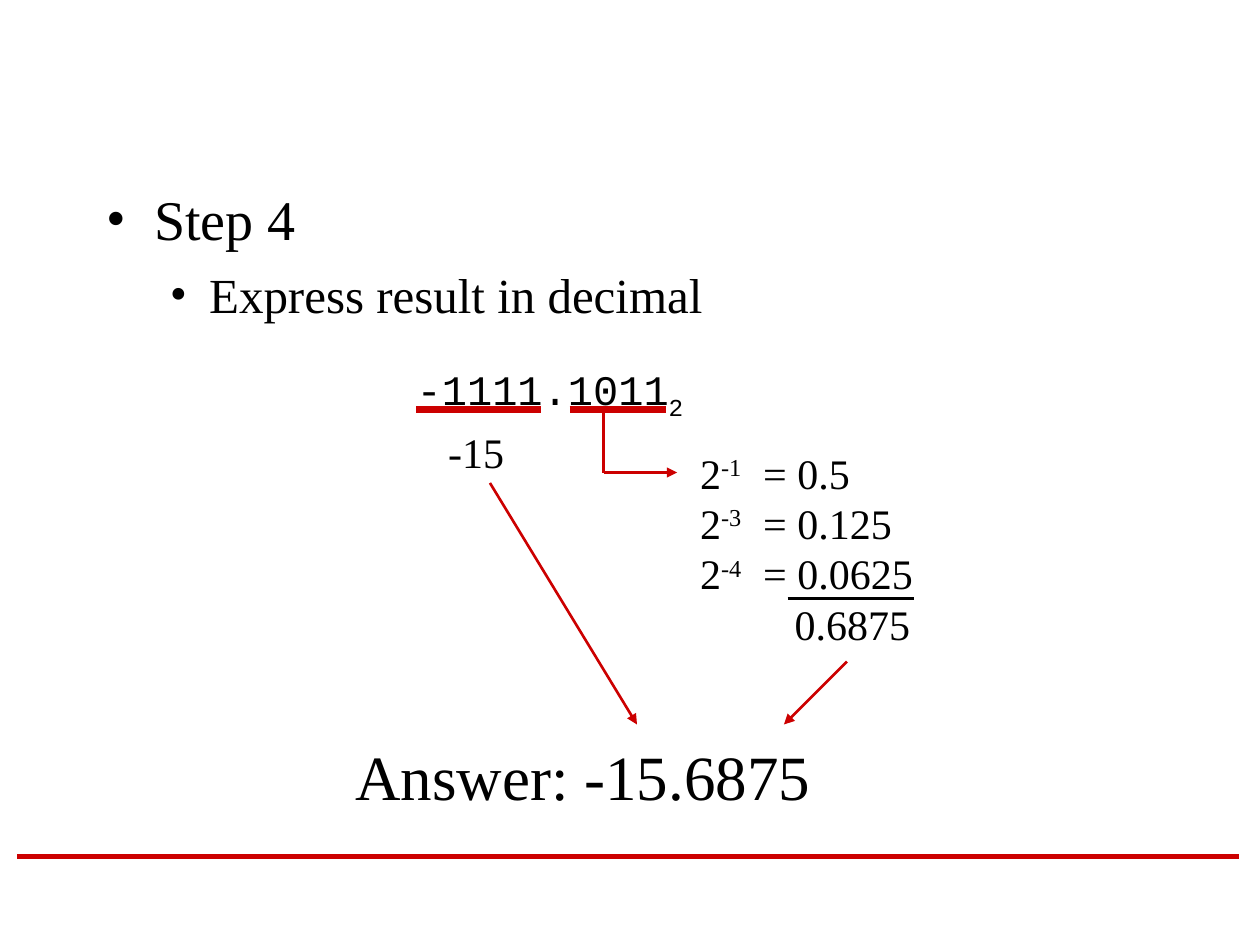
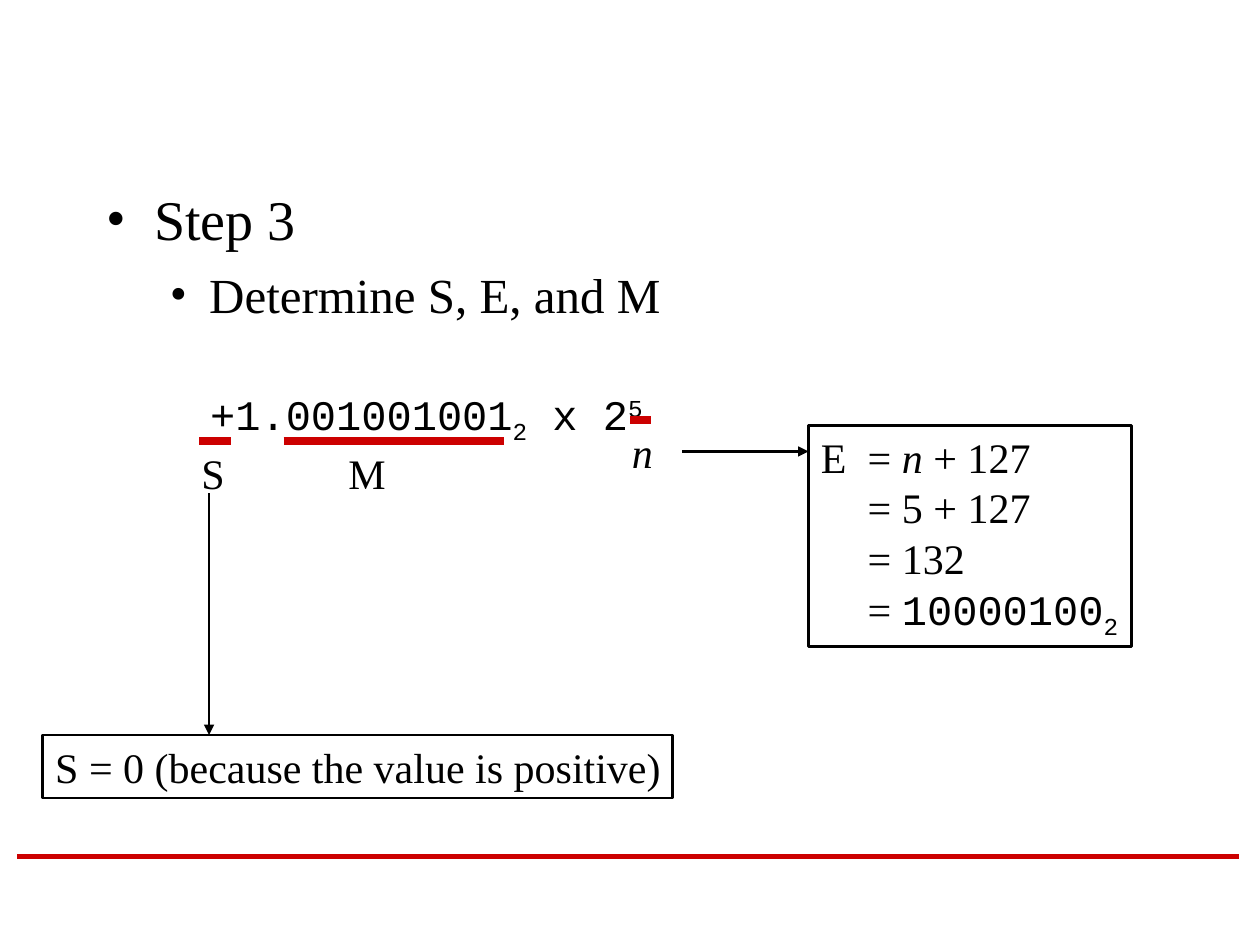
from dataclasses import dataclass

from lxml import etree
from pptx import Presentation
from pptx.dml.color import RGBColor
from pptx.enum import shapes, text
from pptx.oxml import ns
from pptx.util import Pt

RED = "CC0000"
BLACK = "000000"
SERIF = "Times New Roman"
MONO = "Courier New"
SUB = -25
SUPER = 30
SERIF_PITCH = 1.2
MONO_PITCH = 1.38
EXPONENT_TAB = 26.75


@dataclass(frozen=True)
class Span:
    words: str
    baseline: int = 0
    italic: bool = False
    family: str = ""


@dataclass(frozen=True)
class Para:
    spans: tuple[Span, ...]
    size: float = 24
    family: str = SERIF
    pitch: float = SERIF_PITCH
    indent: float = 0
    hanging: float = 0
    before: float = 0
    tab: float = 0


@dataclass(frozen=True)
class Box:
    left: float
    top: float
    width: float
    height: float
    paras: tuple[Para, ...]
    framed: bool = False


@dataclass(frozen=True)
class Stroke:
    x1: float
    y1: float
    x2: float
    y2: float
    color: str = RED
    weight: float = 1.5
    arrow: bool = False


def color(value: str) -> RGBColor:
    return RGBColor.from_string(value)


def plain(words: str, **style) -> Para:
    return Para((Span(words),), **style)


def underline(left: float, right: float, y: float) -> Stroke:
    return Stroke(left, y, right, y, weight=4.5)


def power(exponent: str, value: str) -> Para:
    return Para((Span("2"), Span(exponent, SUPER), Span(f"\t= {value}")), tab=36)


def outline(step: str, task: str) -> Box:
    return Box(54, 102.2, 612, 324, (
        plain(step, size=32, indent=27, hanging=27),
        plain(task, size=28, indent=58.5, hanging=22.5, before=7),
    ))


def add_property(paragraph, tag: str, **attributes: str):
    properties = paragraph._p.get_or_add_pPr()
    element = etree.Element(ns.qn(tag), attributes)
    properties.insert_element_before(element, "a:defRPr", "a:extLst")
    return element


def write_para(paragraph, para: Para) -> None:
    paragraph.alignment = text.PP_ALIGN.LEFT
    paragraph.line_spacing = Pt(para.size * para.pitch)
    paragraph.space_before = Pt(para.before)
    paragraph.font.size = Pt(para.size)
    paragraph.font.name = para.family
    paragraph.font.color.rgb = color(BLACK)
    properties = paragraph._p.get_or_add_pPr()
    if para.indent:
        properties.set("marL", str(Pt(para.indent)))
    if para.hanging:
        properties.set("indent", str(-Pt(para.hanging)))
        add_property(paragraph, "a:buFont", typeface=para.family)
        add_property(paragraph, "a:buChar", char="•")
    if para.tab:
        tabs = add_property(paragraph, "a:tabLst")
        etree.SubElement(tabs, ns.qn("a:tab"), pos=str(Pt(para.tab)), algn="l")
    for span in para.spans:
        run = paragraph.add_run()
        run.text = span.words
        if span.italic:
            run.font.italic = True
        if span.family:
            run.font.name = span.family
        if span.baseline:
            run._r.get_or_add_rPr().set("baseline", str(span.baseline * 1000))


def draw_box(page, box: Box) -> None:
    area = Pt(box.left), Pt(box.top), Pt(box.width), Pt(box.height)
    if box.framed:
        shape = page.shapes.add_shape(shapes.MSO_SHAPE.RECTANGLE, *area)
        shape.shadow.inherit = False
        shape.fill.background()
        shape.line.color.rgb = color(BLACK)
        shape.line.width = Pt(1.5)
    else:
        shape = page.shapes.add_textbox(*area)
    frame = shape.text_frame
    frame.word_wrap = True
    frame.vertical_anchor = text.MSO_ANCHOR.TOP
    frame.margin_left = Pt(7.2)
    frame.margin_right = Pt(0)
    frame.margin_top = frame.margin_bottom = Pt(3.6)
    for number, para in enumerate(box.paras):
        write_para(frame.add_paragraph() if number else frame.paragraphs[0], para)


def draw_stroke(page, stroke: Stroke) -> None:
    connector = page.shapes.add_connector(
        shapes.MSO_CONNECTOR.STRAIGHT,
        Pt(stroke.x1), Pt(stroke.y1), Pt(stroke.x2), Pt(stroke.y2))
    connector.line.color.rgb = color(stroke.color)
    connector.line.width = Pt(stroke.weight)
    properties = connector._element.spPr
    if stroke.arrow:
        etree.SubElement(properties.find(ns.qn("a:ln")), ns.qn("a:tailEnd"), type="triangle")
    etree.SubElement(properties, ns.qn("a:effectLst"))


FOOTER_RULE = Stroke(10, 489.5, 708, 489.5, weight=3)

DECIMAL_RESULT = (
    outline("Step 4", "Express result in decimal"),
    Box(231, 204, 181, 40, (
        Para((Span("-1111.1011"), Span("2", SUB)), family=MONO, pitch=MONO_PITCH),
    )),
    underline(238, 309, 234),
    underline(325.5, 380.5, 234),
    Box(249, 240, 46, 36, (plain("-15"),)),
    Box(393, 252, 158, 122.4, (
        power("-1", "0.5"),
        power("-3", "0.125"),
        power("-4", "0.0625"),
        plain("0.6875", indent=54),
    )),
    Stroke(450, 342, 522.5, 342, BLACK),
    Stroke(345, 234, 345, 270),
    Stroke(345, 270, 387, 270, arrow=True),
    Box(196, 418, 275, 50.4, (plain("Answer: -15.6875", size=36),)),
    Stroke(280, 276, 364, 414, arrow=True),
    Stroke(484, 378, 448, 414, arrow=True),
)

SIGN_EXPONENT_MANTISSA = (
    outline("Step 3", "Determine S, E, and M"),
    Box(113, 218, 262, 40, (
        Para((Span("+1.001001001"), Span("2", SUB), Span(" x 2"), Span("5", SUPER)),
             family=MONO, pitch=MONO_PITCH),
    )),
    Box(24.5, 420, 360, 36, (plain("S = 0 (because the value is positive)"),), framed=True),
    underline(162, 288, 252),
    Box(192, 252, 36, 36, (plain("M"),)),
    underline(114, 132, 252),
    Box(108, 252, 27, 36, (plain("S"),)),
    Stroke(119.5, 282, 119.5, 420, BLACK, arrow=True),
    underline(360, 372, 240),
    Box(354, 240, 26, 36, (Para((Span("n", italic=True),)),)),
    Box(462, 243, 184.5, 126.5, (
        Para((Span("E\t= "), Span("n", italic=True), Span(" + 127")), tab=EXPONENT_TAB),
        plain("= 5 + 127", indent=EXPONENT_TAB),
        plain("= 132", indent=EXPONENT_TAB),
        Para((Span("= "), Span("10000100", family=MONO), Span("2", SUB, family=MONO)),
             pitch=MONO_PITCH, indent=EXPONENT_TAB),
    ), framed=True),
    Stroke(390, 258, 462, 258, BLACK, arrow=True),
)


def main() -> None:
    deck = Presentation()
    deck.slide_width, deck.slide_height = Pt(720), Pt(540)
    for elements in (DECIMAL_RESULT, SIGN_EXPONENT_MANTISSA):
        page = deck.slides.add_slide(deck.slide_layouts[6])
        for element in (FOOTER_RULE, *elements):
            if isinstance(element, Box):
                draw_box(page, element)
            else:
                draw_stroke(page, element)
    deck.save("out.pptx")


if __name__ == "__main__":
    main()
